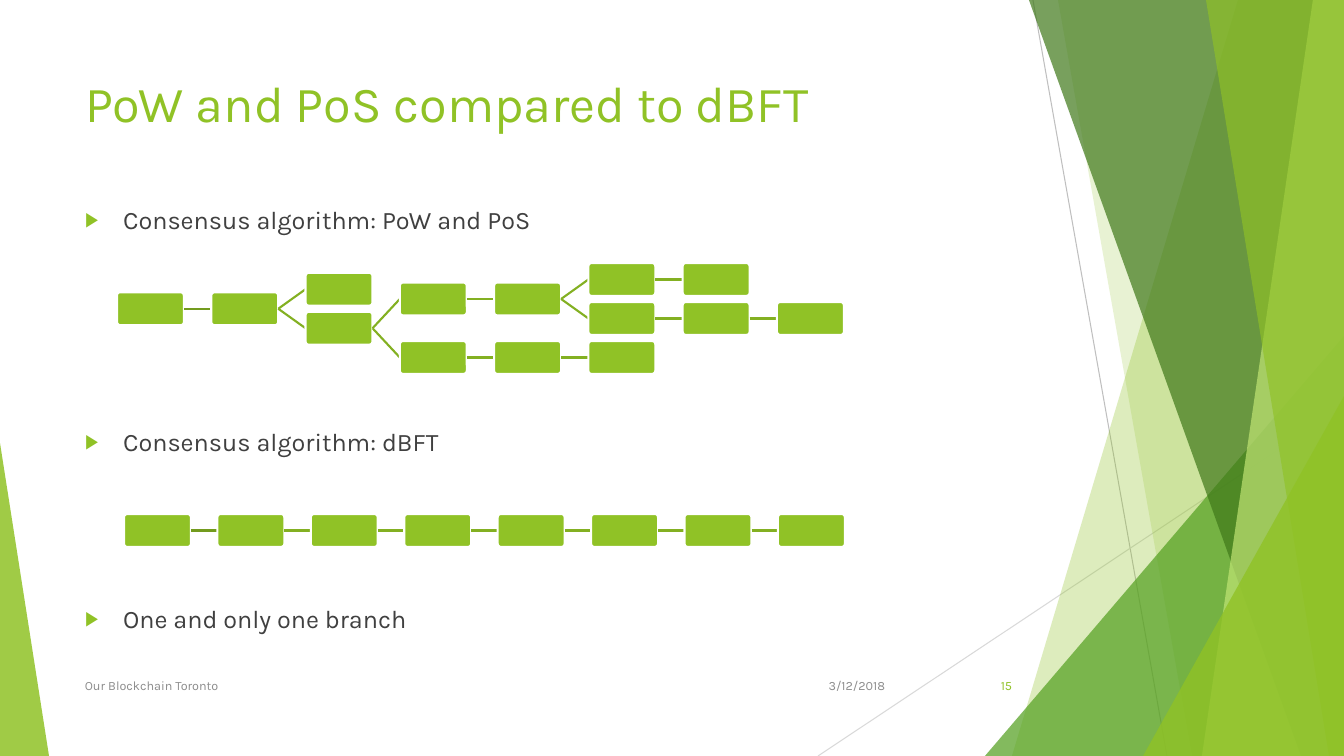
from lxml import etree
from pptx import Presentation
from pptx.dml.color import RGBColor
from pptx.enum.shapes import MSO_CONNECTOR as Connector, MSO_SHAPE as Shape
from pptx.enum.text import MSO_ANCHOR as Anchor, MSO_AUTO_SIZE as AutoSize, PP_ALIGN as Align
from pptx.oxml.ns import qn
from pptx.util import Pt

# Colours, font and scale
GREEN = RGBColor(0x90, 0xC2, 0x26)
MID_GREEN = RGBColor(0x54, 0xA0, 0x21)
DARK_GREEN = RGBColor(0x3F, 0x78, 0x19)
PALE_GREEN = RGBColor(0xC0, 0xE4, 0x74)
LINK = RGBColor(0x83, 0xB0, 0x22)
FIRST_LINK = RGBColor(0x73, 0x9B, 0x1E)
WHITE = RGBColor(0xFF, 0xFF, 0xFF)
BODY_GREY = RGBColor(0x40, 0x40, 0x40)
FOOTER_GREY = RGBColor(0x8C, 0x8C, 0x8C)
LINE_GREY = RGBColor(0xBF, 0xBF, 0xBF)
LIGHT_GREY = RGBColor(0xD9, 0xD9, 0xD9)
FONT = "Karla"
PX = 914400 / 100.8
WIDTH, HEIGHT = 1344, 756

# Content
TITLE = "PoW and PoS compared to dBFT"
BULLETS = [  # text, space before in points
    ("Consensus algorithm: PoW and PoS", 0),
    ("Consensus algorithm: dBFT", 137),
    ("One and only one branch", 105),
]
FOOTERS = [  # text, left, width, alignment, colour
    ("3/12/2018", 794, 101, Align.RIGHT, FOOTER_GREY),
    ("Our Blockchain Toronto", 75, 694, Align.LEFT, FOOTER_GREY),
    ("15", 947, 75, Align.RIGHT, GREEN),
]
FORKED_BLOCKS = [  # parent block, column, level
    (None, 0, 3), (0, 1, 3), (1, 2, 1), (1, 2, 5), (3, 3, 2), (4, 4, 2), (5, 5, 0),
    (6, 6, 0), (5, 5, 4), (8, 6, 4), (9, 7, 4), (3, 3, 8), (11, 4, 8), (12, 5, 8),
]
SINGLE_BLOCKS = [(column - 1 if column else None, column, 0) for column in range(8)]
CHAINS = [  # blocks, first left, last left, top
    (FORKED_BLOCKS, 117, 777, 263),
    (SINGLE_BLOCKS, 124, 778, 514),
]
COLUMNS, LEVEL_STEP = 8, 9.75
BLOCK_WIDTH, BLOCK_HEIGHT = 67, 33
THIN_LINES = [((1033, 0), (1167, 756), LINE_GREY), ((1344, 406), (818, 756), LIGHT_GREY)]
FACETS = [  # band: top x, bottom x; triangle: left, top, width, apex; colour, opacity %
    ((1238, 1012), GREEN, 30),
    ((1058, 1192), GREEN, 20),
    ((985, 336, 359, 1), MID_GREEN, 72),
    ((1029, 1301), DARK_GREEN, 70),
    ((1313, 1202), PALE_GREEN, 70),
    ((1206, 1329), GREEN, 65),
    ((1143, 396, 201, 1), GREEN, 80),
    ((0, 443, 49, 0), GREEN, 85),
]

presentation = Presentation()


def px(*values):
    return [round(value * PX) for value in values]


presentation.slide_width, presentation.slide_height = px(WIDTH, HEIGHT)
slide = presentation.slides.add_slide(presentation.slide_layouts[1])
shapes = slide.shapes


def bring_to_front(shape):
    shapes._spTree.append(shape._element)


def add_line(start, end, colour, width):
    line = shapes.add_connector(Connector.STRAIGHT, *px(*start, *end))
    line.line.color.rgb = colour
    line.line.width = Pt(width)
    etree.SubElement(line._element.spPr, qn("a:effectLst"))
    return line


def add_facet(geometry, colour, opacity):
    if len(geometry) == 2:
        top_x, bottom_x = geometry
        builder = shapes.build_freeform(*px(top_x, 0), scale=1.0)
        corners = [(WIDTH, 0), (WIDTH, HEIGHT), (bottom_x, HEIGHT)]
        builder.add_line_segments([px(*corner) for corner in corners])
        facet = builder.convert_to_shape()
    else:
        left, top, width, apex = geometry
        facet = shapes.add_shape(Shape.ISOSCELES_TRIANGLE, *px(left, top, width, HEIGHT - top))
        facet.adjustments[0] = apex
    facet.shadow.inherit = False
    facet.line.fill.background()
    facet.fill.solid()
    facet.fill.fore_color.rgb = colour
    colour_element = facet._element.spPr.find(qn("a:solidFill"))[0]
    etree.SubElement(colour_element, qn("a:alpha"), val=str(opacity * 1000))


def set_font(paragraph, size, colour):
    paragraph.font.name = FONT
    paragraph.font.size = Pt(size)
    paragraph.font.color.rgb = colour


def add_bullet(paragraph):
    properties = paragraph._p.get_or_add_pPr()
    indent, = px(38)
    properties.set("marL", str(indent))
    properties.set("indent", str(-indent))
    colour = etree.SubElement(properties, qn("a:buClr"))
    etree.SubElement(colour, qn("a:srgbClr"), val=str(GREEN))
    etree.SubElement(properties, qn("a:buSzPct"), val="80000")
    etree.SubElement(properties, qn("a:buFont"), typeface="Arial")
    etree.SubElement(properties, qn("a:buChar"), char="▶")


def place_text(shape, left, top, width, height, anchor):
    shape.left, shape.top, shape.width, shape.height = px(left, top, width, height)
    frame = shape.text_frame
    frame.word_wrap = True
    frame.auto_size = AutoSize.NONE
    frame.vertical_anchor = anchor
    return frame


def add_chain(blocks, first_left, last_left, top):
    pitch = (last_left - first_left) / (COLUMNS - 1)
    drawn = []
    for parent, column, level in blocks:
        left, block_top = first_left + column * pitch, top + level * LEVEL_STEP
        block = shapes.add_shape(Shape.ROUNDED_RECTANGLE,
                                 *px(left, block_top, BLOCK_WIDTH, BLOCK_HEIGHT))
        block.adjustments[0] = 0.1
        block.shadow.inherit = False
        block.fill.solid()
        block.fill.fore_color.rgb = GREEN
        block.line.color.rgb = WHITE
        block.line.width = Pt(1.5)
        if parent is not None:
            link = add_line((0, 0), (0, 0), LINK if parent else FIRST_LINK, 1.5)
            link.begin_connect(drawn[parent], 3)
            link.end_connect(block, 1)
            bring_to_front(block)
        drawn.append(block)


# Background lines and facets
for start, end, colour in THIN_LINES:
    add_line(start, end, colour, 0.75)
for facet in FACETS:
    add_facet(*facet)

# Title
title = shapes.title
bring_to_front(title)
frame = place_text(title, 75, 67, 1136, 113, Anchor.TOP)
frame.text = TITLE
frame.paragraphs[0].alignment = Align.LEFT
set_font(frame.paragraphs[0], 36, GREEN)

# Bullets
body = slide.placeholders[1]
bring_to_front(body)
frame = place_text(body, 75, 199, 1136, 468, Anchor.TOP)
frame.text = "\n".join(text for text, _ in BULLETS)
for paragraph, (_, space) in zip(frame.paragraphs, BULLETS):
    add_bullet(paragraph)
    paragraph.space_before = Pt(space)
    set_font(paragraph, 18, BODY_GREY)

# Date, footer and slide number
for text, left, width, alignment, colour in FOOTERS:
    box = shapes.add_textbox(0, 0, 0, 0)
    frame = place_text(box, left, 666, width, 40, Anchor.MIDDLE)
    frame.text = text
    frame.paragraphs[0].alignment = alignment
    set_font(frame.paragraphs[0], 9, colour)

# Block chains
for chain in CHAINS:
    add_chain(*chain)

presentation.save("out.pptx")
